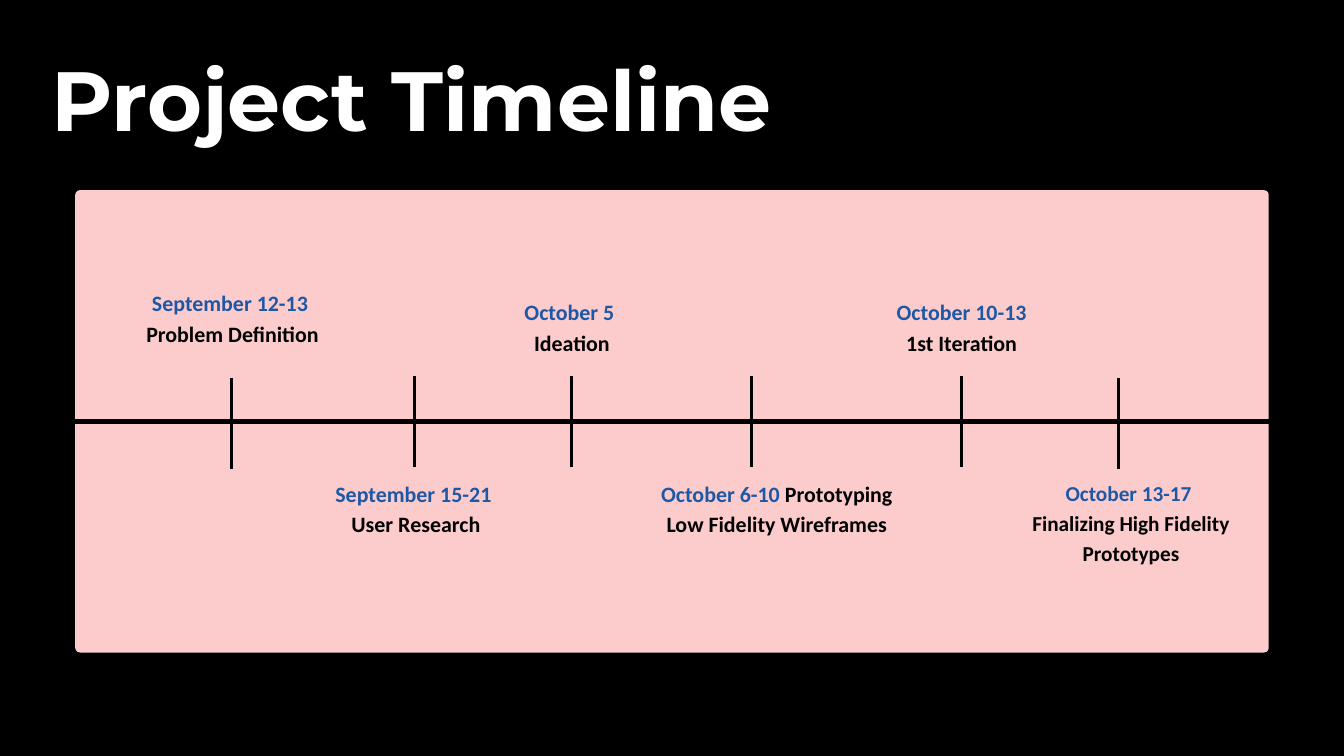
import pptx
import pptx.util
from pptx.dml.color import RGBColor
from pptx.enum.shapes import MSO_CONNECTOR, MSO_SHAPE
from pptx.enum.text import MSO_ANCHOR, MSO_AUTO_SIZE, PP_ALIGN
from pptx.oxml.ns import qn

# Content: each paragraph is a list of (text, colour role) runs
TITLE = [[("Project Timeline", "title")]]


def dated(date, task):
    return [[(date, "date")], [(task, "task")]]


# tick column, tick middle row, label centre column, label top row, label columns, lines, size, text
MILESTONES = [
    (3.44, 6.30, 3.46, 4.25, 4.45, 2, "label", dated("September 12-13 ", "Problem Definition")),
    (6.17, 6.27, 6.19, 7.08, 3.98, 2, "label", dated("September 15-21 ", "User Research")),
    (8.51, 6.27, 8.51, 4.38, 3.09, 2, "label", dated("October 5 ", "Ideation")),
    (11.18, 6.27, 11.56, 7.08, 3.92, 3, "label",
     [[("October 6-10", "date"), (" Prototyping Low Fidelity Wireframes", "task")]]),
    (14.31, 6.27, 14.31, 4.38, 3.09, 2, "label", dated("October 10-13", "1st Iteration")),
    (16.65, 6.30, 16.83, 7.09, 3.79, 3, "small",
     dated("October 13-17 ", "Finalizing High Fidelity Prototypes")),
]

THEME = {
    "colours": {"background": "000000", "panel": "FCCCCC", "line": "000000",
                "title": "FFFFFF", "date": "1D58A7", "task": "000000"},
    "sizes": {"title": 90, "label": 23.5, "small": 22.8},
    "fonts": {"title": "Montserrat", "label": "Calibri", "small": "Calibri"},
    "line_spacing": 1.4,
    "axis": 6,
    "tick": 3,
}

# Grid: square cells, 20 columns across the slide
SLIDE_WIDTH = pptx.util.Inches(20)
SLIDE_HEIGHT = pptx.util.Inches(11.25)
CELL = SLIDE_WIDTH / 20
TICK_ROWS = 1.36
PANEL = (1.12, 2.83, 17.76, 6.88)


def cells(*counts):
    return [round(count * CELL) for count in counts]


def colour(role):
    return RGBColor.from_string(THEME["colours"][role])


def write_text(shape, paragraphs, style="label", alignment=PP_ALIGN.CENTER):
    frame = shape.text_frame
    frame.auto_size = MSO_AUTO_SIZE.NONE
    frame.word_wrap = True
    frame.vertical_anchor = MSO_ANCHOR.TOP
    frame.margin_left = frame.margin_top = frame.margin_right = frame.margin_bottom = 0
    size = THEME["sizes"][style]
    for index, runs in enumerate(paragraphs):
        paragraph = frame.add_paragraph() if index else frame.paragraphs[0]
        paragraph.alignment = alignment
        paragraph.line_spacing = pptx.util.Pt(size * THEME["line_spacing"])
        for text, role in runs:
            run = paragraph.add_run()
            run.text = text
            run.font.name = THEME["fonts"][style]
            run.font.size = pptx.util.Pt(size)
            run.font.bold = True
            run.font.color.rgb = colour(role)


def draw_line(slide, start, end, weight):
    line = slide.shapes.add_connector(MSO_CONNECTOR.STRAIGHT, *cells(*start, *end))
    line.line.color.rgb = colour("line")
    line.line.width = pptx.util.Pt(weight)
    properties = line._element.spPr
    properties.append(properties.makeelement(qn("a:effectLst"), {}))
    return line


def main():
    presentation = pptx.Presentation()
    presentation.slide_width = SLIDE_WIDTH
    presentation.slide_height = SLIDE_HEIGHT
    slide = presentation.slides.add_slide(presentation.slide_layouts[5])
    slide.background.fill.solid()
    slide.background.fill.fore_color.rgb = colour("background")

    # Title
    title = slide.shapes.title
    title.left, title.top, title.width, title.height = cells(0.76, 0.46, 12.19, 1.68)
    write_text(title, TITLE, style="title", alignment=PP_ALIGN.LEFT)

    # Panel and the axis across it
    left, top, width, height = PANEL
    panel = slide.shapes.add_shape(MSO_SHAPE.ROUNDED_RECTANGLE, *cells(*PANEL))
    panel.adjustments[0] = 0.01
    panel.shadow.inherit = False
    panel.fill.solid()
    panel.fill.fore_color.rgb = colour("panel")
    panel.line.fill.background()
    middle = top + height / 2
    axis = draw_line(slide, (left, middle), (left + width, middle), THEME["axis"])
    axis.begin_connect(panel, 1)
    axis.end_connect(panel, 3)

    # Milestones: a tick and a label each
    for tick, tick_row, centre, label_top, columns, lines, style, paragraphs in MILESTONES:
        draw_line(slide, (tick, tick_row - TICK_ROWS / 2), (tick, tick_row + TICK_ROWS / 2),
                  THEME["tick"])
        label = slide.shapes.add_textbox(
            *cells(centre - columns / 2, label_top, columns, lines * 0.46 + 0.04))
        write_text(label, paragraphs, style=style)

    presentation.save("out.pptx")


if __name__ == "__main__":
    main()
